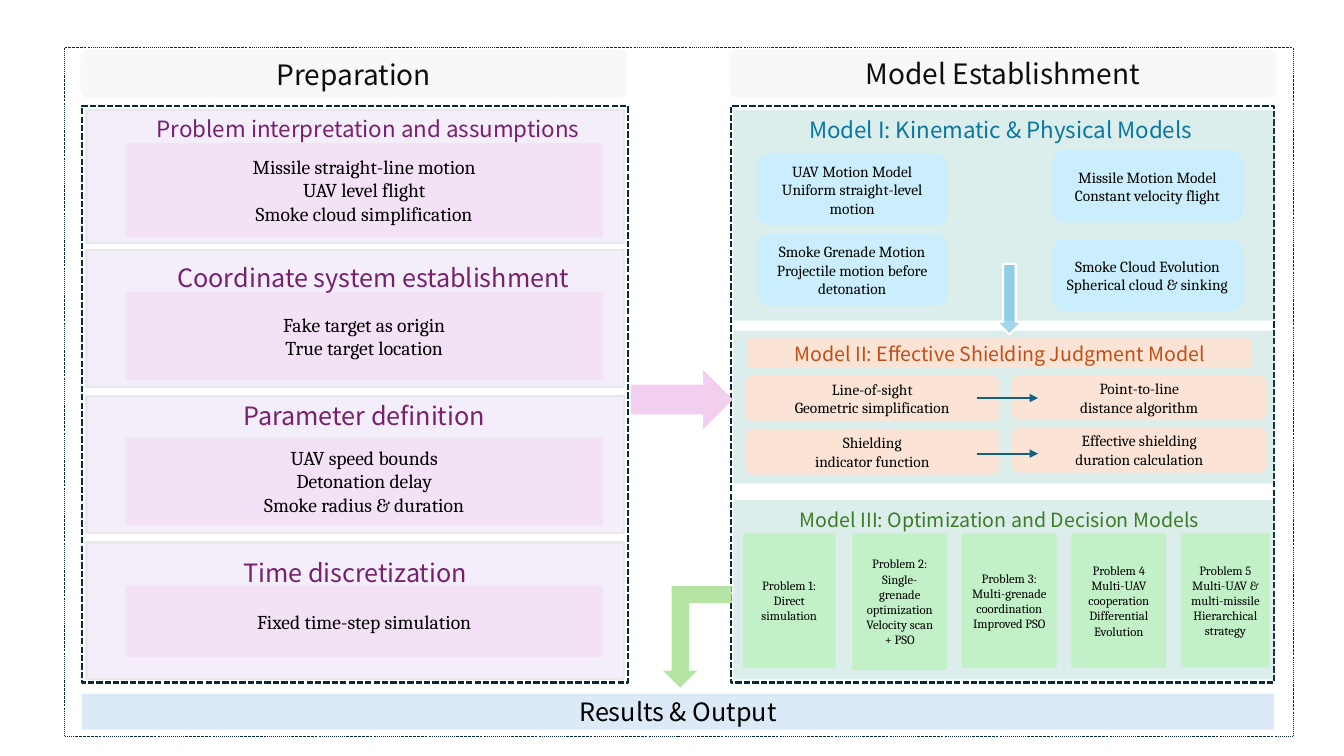
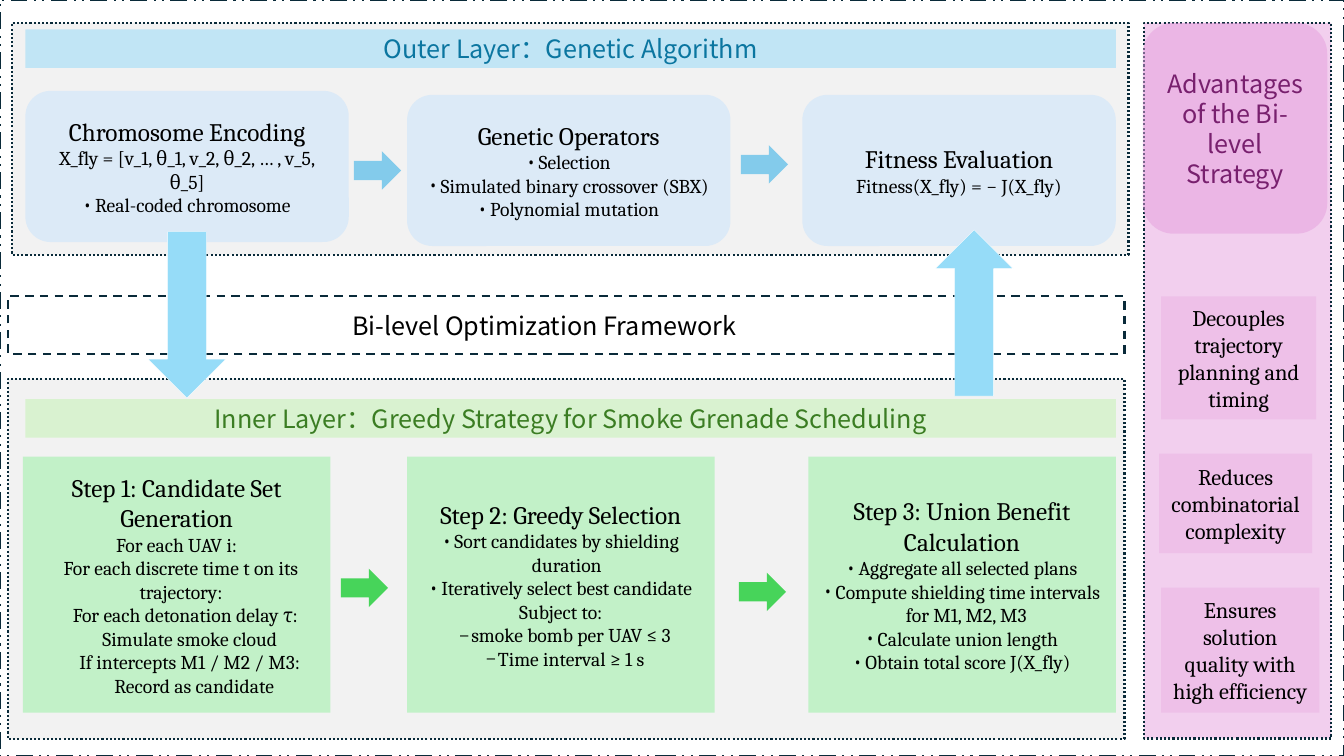
from dataclasses import dataclass
from lxml.etree import SubElement
from pptx import Presentation
from pptx.dml.color import RGBColor
from pptx.enum.dml import MSO_LINE as Dash
from pptx.enum.shapes import MSO_CONNECTOR, MSO_SHAPE as Kind
from pptx.enum.text import MSO_ANCHOR, MSO_AUTO_SIZE, PP_ALIGN
from pptx.oxml.ns import qn
from pptx.util import Cm, Pt

color_of = RGBColor.from_string


class Theme:
    heading_font, body_font = "Noto Sans CJK SC", "Cambria"
    column, heading, subheading, small_heading = 20, 18, 16, 14
    body, card, problem = 14, 11, 9
    white, black, ink, navy = "FFFFFF", "000000", "0D0D0D", "092A39"
    grey, grey_line = "F2F2F2", "E8E8E8"
    purple, violet, pink, orchid = "78206E", "945FDB", "F2CFEE", "E59EDD"
    blue_text, blue_arrow, connector = "0B76A0", "46B1E1", "156082"
    sky, bright_sky = "83CBEB", "96DCF8"
    blue_band, blue_card, blue_pale = "C1E5F5", "CAEEFB", "DCEAF7"
    orange_text, peach, teal = "C04F15", "FBE3D6", "54AA9F"
    green_text, green, leaf = "3B7D23", "47D45A", "B4E5A2"
    green_card, green_band = "C2F1C8", "D9F2D0"
    level_step, bullet_step = 0.22, 0.3


@dataclass(frozen=True)
class Line:
    """One paragraph; level is a small left indent, bullet a list mark."""
    text: str
    size: int = Theme.body
    bullet: str = ""
    level: int = 0


def bullets(*texts, mark="•", level=0):
    return [Line(text, bullet=mark, level=level) for text in texts]


def paint(shape, fill=None, alpha=100, line=None, weight=1.5, dash=None):
    shape.shadow.inherit = False
    if fill:
        shape.fill.solid()
        shape.fill.fore_color.rgb = color_of(fill)
        if alpha < 100:
            tint = shape.element.spPr.find(qn("a:solidFill"))[0]
            SubElement(tint, qn("a:alpha"), val=str(alpha * 1000))
    else:
        shape.fill.background()
    if line:
        shape.line.color.rgb = color_of(line)
        shape.line.width = Pt(weight)
        if dash:
            shape.line.dash_style = dash
    else:
        shape.line.fill.background()


def indent(para, line):
    props = para._p.get_or_add_pPr()
    hang = Theme.bullet_step if line.bullet else 0
    props.set("marL", str(Cm(line.level * Theme.level_step + hang)))
    props.set("indent", str(-Cm(hang)))
    if line.bullet:
        SubElement(props, qn("a:buFont"), typeface=Theme.body_font)
        SubElement(props, qn("a:buChar"), char=line.bullet)


def write(shape, lines, size, color=Theme.black, font=Theme.body_font):
    """Fill the shape with centred paragraphs, given as strings or Lines."""
    frame = shape.text_frame
    frame_format = {"word_wrap": True, "auto_size": MSO_AUTO_SIZE.NONE,
                    "vertical_anchor": MSO_ANCHOR.MIDDLE}
    for name, value in frame_format.items():
        setattr(frame, name, value)
    for index, item in enumerate(lines):
        line = item if isinstance(item, Line) else Line(item, size)
        para = frame.add_paragraph() if index else frame.paragraphs[0]
        para.alignment = PP_ALIGN.CENTER
        if line.bullet or line.level:
            indent(para, line)
        span = para.add_run()
        span.text = line.text
        span_format = {"name": font, "size": Pt(line.size), "bold": False}
        for name, value in span_format.items():
            setattr(span.font, name, value)
        span.font.color.rgb = color_of(color)
        SubElement(span._r.get_or_add_rPr(), qn("a:ea"), typeface=font)


def add_box(page, at, fill=None, kind=Kind.RECTANGLE, **style):
    box = page.shapes.add_shape(kind, *map(Cm, at))
    paint(box, fill, **style)
    return box


def add_card(page, at, lines, fill, size=Theme.body, kind=Kind.RECTANGLE, alpha=100):
    write(add_box(page, at, fill, kind, alpha=alpha), lines, size)


def add_band(page, at, text, fill, color, size=Theme.heading, **style):
    band = add_box(page, at, fill, **style)
    write(band, [text], size, color, Theme.heading_font)


def add_label(page, at, text, size, color):
    label = page.shapes.add_textbox(*map(Cm, at))
    write(label, [text], size, color, Theme.heading_font)


def place_title(page, at, text, size, color):
    """Move the title placeholder to a place above what is drawn so far."""
    title = page.shapes.title
    for name, value in zip(("left", "top", "width", "height"), at):
        setattr(title, name, Cm(value))
    write(title, [text], size, color, Theme.heading_font)
    title.element.getparent().append(title.element)
    return title


def add_arrow_line(page, left, right, y):
    arrow = page.shapes.add_connector(
        MSO_CONNECTOR.STRAIGHT, Cm(left), Cm(y), Cm(right), Cm(y))
    arrow.line.color.rgb = color_of(Theme.connector)
    arrow.line.width = Pt(1.5)
    props = arrow.element.spPr
    SubElement(props.find(qn("a:ln")), qn("a:tailEnd"), type="triangle")
    SubElement(props, qn("a:effectLst"))


def add_preparation(page):
    head = (2.03, 1.24, 13.77, 1.24)
    add_box(page, head, Theme.grey, Kind.ROUNDED_RECTANGLE, alpha=50)
    place_title(page, head, "Preparation", Theme.column, Theme.ink)
    add_box(page, (2.06, 2.67, 13.77, 14.53), Theme.white,
            line=Theme.navy, dash=Dash.SQUARE_DOT)
    # panel top and height, heading left and top, size, card top and height
    stages = [
        (2.77, 3.35, 2.97, 2.79, Theme.subheading, 3.61, 2.36,
         "Problem interpretation and assumptions",
         ["Missile straight-line motion", "UAV level flight", "Smoke cloud simplification"]),
        (6.3, 3.45, 3.1, 6.55, Theme.heading, 7.37, 2.21,
         "Coordinate system establishment", ["Fake target as origin", "True target location"]),
        (9.98, 3.45, 2.87, 10.03, Theme.heading, 11.02, 2.21, "Parameter definition",
         ["UAV speed bounds", "Detonation delay", "Smoke radius & duration"]),
        (13.67, 3.45, 2.64, 13.97, Theme.heading, 14.76, 1.8,
         "Time discretization", ["Fixed time-step simulation"]),
    ]
    for top, height, left, text_top, size, card_top, card_height, text, lines in stages:
        add_box(page, (2.18, top, 13.54, height), Theme.violet,
                alpha=10, line=Theme.grey_line)
        add_card(page, (3.16, card_top, 12.04, card_height), lines, Theme.pink, alpha=40)
        add_label(page, (left, text_top, 12.62, 0.89), text, size, Theme.purple)


def add_models(page):
    add_band(page, (18.39, 1.24, 13.77, 1.24), "Model Establishment", Theme.grey,
             Theme.ink, Theme.column, kind=Kind.ROUNDED_RECTANGLE, alpha=50)
    add_box(page, (18.42, 2.67, 13.69, 14.53), Theme.white,
            line=Theme.navy, dash=Dash.SQUARE_DOT)
    for top, height in [(2.77, 5.31), (8.33, 3.86), (12.6, 4.52)]:
        add_box(page, (18.48, top, 13.64, height), Theme.teal, alpha=20)

    add_label(page, (18.92, 2.92, 12.6, 0.69), "Model I: Kinematic & Physical Models",
              Theme.subheading, Theme.blue_text)
    add_band(page, (18.85, 8.53, 12.7, 0.74), "Model II: Effective Shielding Judgment Model",
             Theme.peach, Theme.orange_text, Theme.small_heading)
    add_label(page, (18.87, 12.75, 12.65, 0.69), "Model III: Optimization and Decision Models",
              Theme.small_heading, Theme.green_text)
    add_box(page, (25.12, 6.65, 0.64, 1.78), Theme.blue_arrow, Kind.DOWN_ARROW,
            alpha=50, line=Theme.white)

    motions = [
        (19.08, 3.86, ["UAV Motion Model", "Uniform straight-level motion"]),
        (26.52, 3.78, ["Missile Motion Model", "Constant velocity flight"]),
        (19.08, 5.89, ["Smoke Grenade Motion", "Projectile motion before detonation"]),
        (26.52, 6.02, ["Smoke Cloud Evolution", "Spherical cloud & sinking"]),
    ]
    judgments = [
        (18.77, 9.47, ["Line-of-sight", "Geometric simplification"]),
        (25.5, 9.45, ["Point-to-line", "distance algorithm"]),
        (18.77, 10.82, ["Shielding", "indicator function"]),
        (25.5, 10.77, ["Effective shielding", "duration calculation"]),
    ]
    for cards, size, fill in [(motions, (4.8, 1.83), Theme.blue_card),
                              (judgments, (6.43, 1.14), Theme.peach)]:
        for left, top, lines in cards:
            add_card(page, (left, top, *size), lines, fill,
                     Theme.card, Kind.ROUNDED_RECTANGLE)
    for y in (10.03, 11.43):
        add_arrow_line(page, 24.61, 26.16, y)

    problems = [
        (2.34, 3.4, ["Problem 1:", "Direct simulation"]),
        (2.39, 3.45, ["Problem 2:", "Single-grenade optimization", "Velocity scan + PSO"]),
        (2.39, 3.4, ["Problem 3:", "Multi-grenade coordination", "Improved PSO"]),
        (2.39, 3.4, ["Problem 4", "Multi-UAV cooperation Differential Evolution"]),
        (2.24, 3.38, ["Problem 5", "Multi-UAV & multi-missile", "Hierarchical strategy"]),
    ]
    for index, (width, height, lines) in enumerate(problems):
        add_card(page, (18.72 + 2.76 * index, 13.44, width, height), lines,
                 Theme.green_card, Theme.problem)


def build_workflow(page):
    add_box(page, (1.63, 1.19, 30.96, 17.37), line=Theme.navy, weight=0.25,
            dash=Dash.DASH_DOT)
    add_preparation(page)
    add_models(page)
    add_band(page, (2.06, 17.48, 30.05, 0.91), "Results & Output",
             Theme.blue_pale, Theme.black)
    add_box(page, (15.9, 9.32, 2.57, 1.5), Theme.pink, Kind.RIGHT_ARROW)
    turn = add_box(page, (16.71, 14.76, 1.73, 2.57), Theme.leaf, Kind.BENT_UP_ARROW)
    turn.rotation = 180


def add_layers(page):
    for at in [(0.2, 9.55, 28.14, 9.07), (0.3, 0.58, 28.14, 5.84)]:
        add_box(page, at, Theme.grey, line=Theme.navy, dash=Dash.ROUND_DOT)
    framework = place_title(page, (0.2, 7.47, 28.14, 1.45),
                            "Bi-level Optimization Framework", Theme.heading, Theme.black)
    framework.text_frame.margin_right = Cm(1.35)
    paint(framework, Theme.white, line=Theme.navy, dash=Dash.DASH)

    add_band(page, (0.64, 0.74, 27.48, 0.97), "Outer Layer：Genetic Algorithm",
             Theme.blue_band, Theme.blue_text)
    add_band(page, (0.64, 10.06, 27.48, 0.97),
             "Inner Layer：Greedy Strategy for Smoke Grenade Scheduling",
             Theme.green_band, Theme.green_text)
    genetics = [
        (0.64, 2.29, 8.15, "Chromosome Encoding",
         [Line("X_fly = [v_1, θ_1, v_2, θ_2, … , v_5, θ_5]"),
          *bullets("Real-coded chromosome")]),
        (10.26, 2.39, 8.15, "Genetic Operators",
         bullets("Selection", "Simulated binary crossover (SBX)", "Polynomial mutation")),
        (20.22, 2.39, 7.9, "Fitness Evaluation", [Line("Fitness(X_fly) = − J(X_fly)")]),
    ]
    for left, top, width, name, lines in genetics:
        add_card(page, (left, top, width, 3.81), [Line(name, Theme.heading), *lines],
                 Theme.blue_pale, kind=Kind.ROUNDED_RECTANGLE)
    steps = [
        (0.58, "Step 1: Candidate Set Generation",
         [Line("For each UAV i:"),
          Line("For each discrete time t on its trajectory:", level=1),
          Line("For each detonation delay τ:", level=2),
          Line("Simulate smoke cloud", level=3),
          Line("If intercepts M1 / M2 / M3:", level=3),
          Line("Record as candidate", level=4)]),
        (10.26, "Step 2: Greedy Selection",
         [*bullets("Sort candidates by shielding duration",
                   "Iteratively select best candidate"),
          Line("Subject to:"),
          *bullets("smoke bomb per UAV ≤ 3", "Time interval ≥ 1 s", mark="–", level=1)]),
        (20.37, "Step 3: Union Benefit Calculation",
         [*bullets("Aggregate all selected plans", "Compute shielding time intervals"),
          Line("for M1, M2, M3", level=1),
          *bullets("Calculate union length", "Obtain total score J(X_fly)")]),
    ]
    for left, name, lines in steps:
        add_card(page, (left, 11.51, 7.75, 6.45), [Line(name, Theme.heading), *lines],
                 Theme.green_card)


def add_advantages(page):
    add_box(page, (28.83, 0.58, 4.72, 18.03), Theme.pink, line=Theme.navy,
            dash=Dash.ROUND_DOT)
    add_band(page, (28.8, 0.58, 4.65, 5.31), "Advantages of the Bi-level Strategy",
             Theme.orchid, Theme.purple, kind=Kind.ROUNDED_RECTANGLE, alpha=50)
    advantages = [
        ((29.26, 7.47, 3.91, 3.1), "Decouples trajectory planning and timing"),
        ((29.21, 11.43, 3.86, 2.51), "Reduces combinatorial complexity"),
        ((29.26, 14.81, 3.99, 3.15), "Ensures solution quality with high efficiency"),
    ]
    for at, text in advantages:
        add_card(page, at, [text], Theme.orchid, Theme.subheading, alpha=30)


def build_framework(page):
    add_box(page, (0, 0, 33.87, 19.05), line=Theme.navy, dash=Dash.DASH_DOT_DOT)
    add_layers(page)
    add_advantages(page)
    for left, top, color in [(8.92, 3.81, Theme.sky), (18.67, 3.66, Theme.sky),
                             (8.59, 14.33, Theme.green), (18.62, 14.43, Theme.green)]:
        add_box(page, (left, top, 1.19, 0.97), color, Kind.RIGHT_ARROW)
    for left, top, kind in [(23.57, 5.79, Kind.UP_ARROW), (3.73, 5.84, Kind.DOWN_ARROW)]:
        add_box(page, (left, top, 1.96, 4.19), Theme.bright_sky, kind,
                line=Theme.white, weight=0.25)


def main():
    deck = Presentation()
    deck.slide_width, deck.slide_height = Cm(33.87), Cm(19.05)
    title_only = deck.slide_layouts[5]
    for build in (build_workflow, build_framework):
        build(deck.slides.add_slide(title_only))
    deck.save("out.pptx")


if __name__ == "__main__":
    main()
